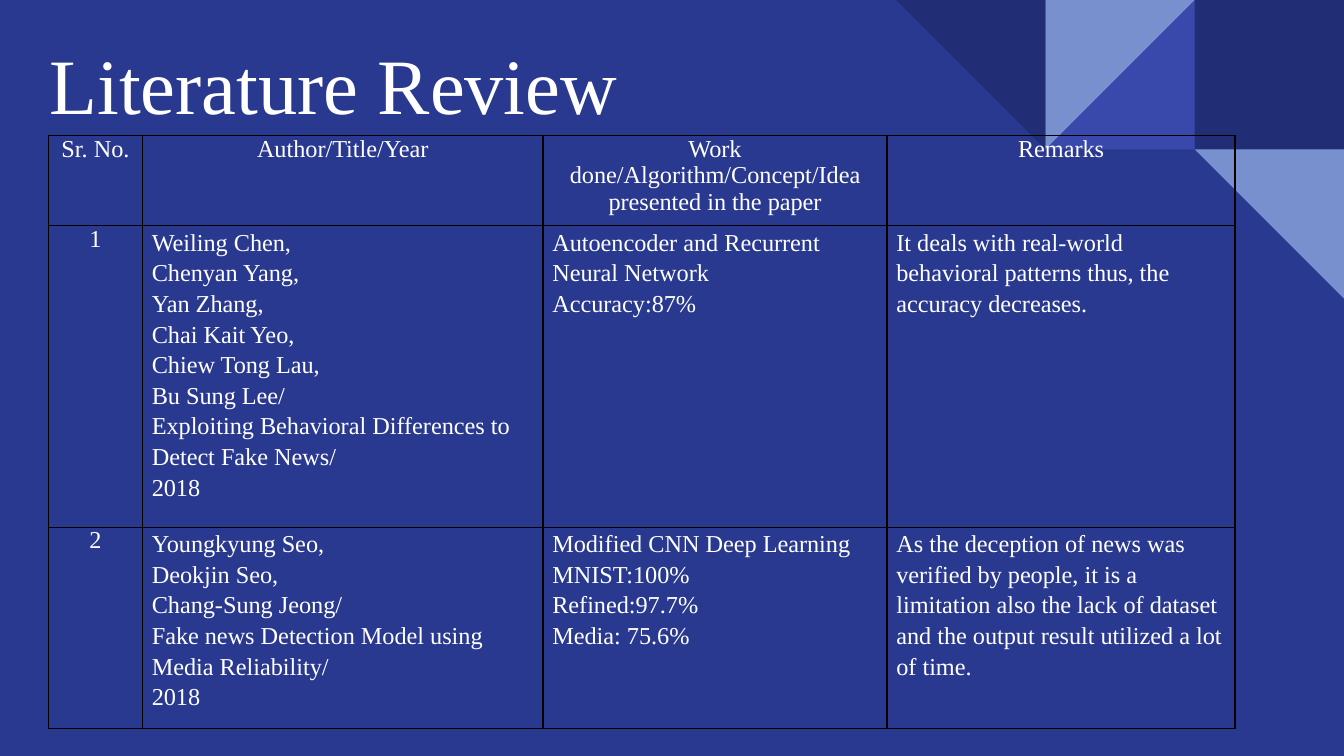
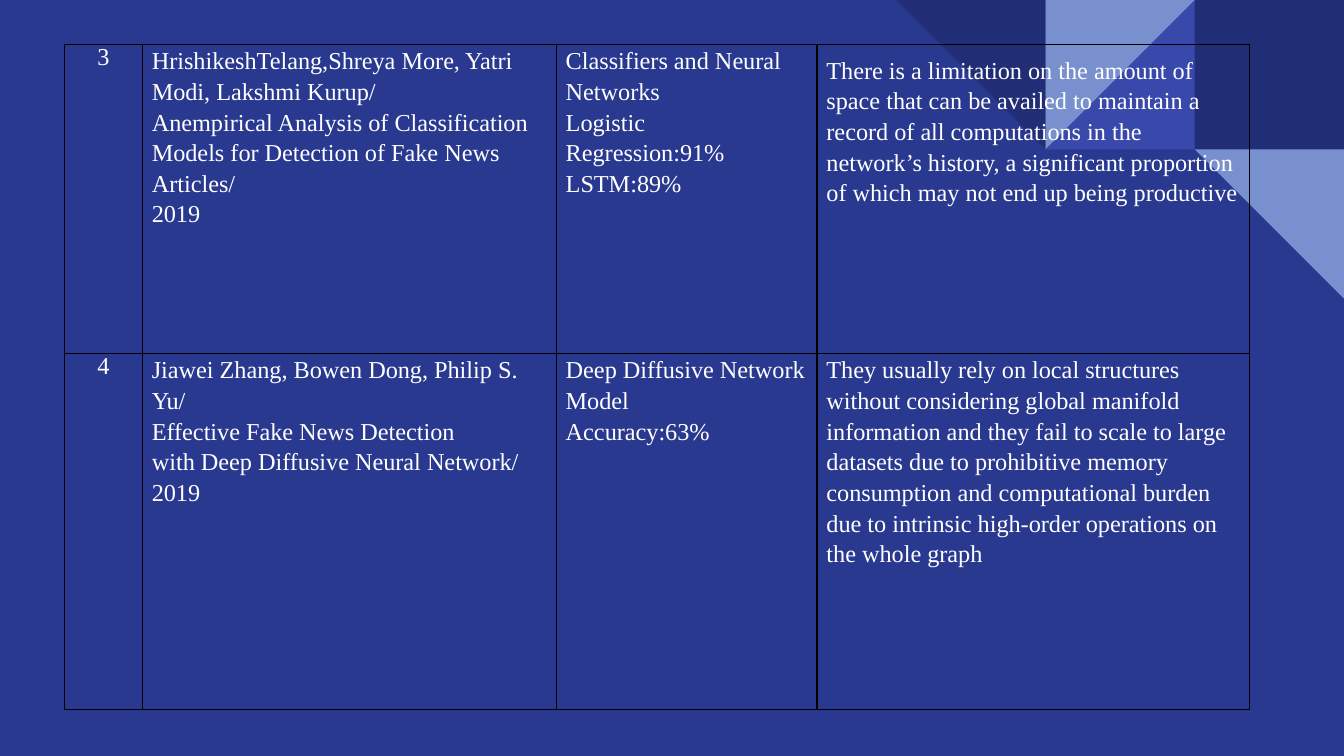
import pptx
import pptx.util
import pptx.dml.color
import pptx.enum.shapes
import pptx.enum.text
import pptx.oxml
import pptx.oxml.ns
from dataclasses import dataclass


@dataclass(frozen=True)
class Theme:
    background: str = "2A3990"
    navy: str = "212D74"
    indigo: str = "3949AB"
    sky: str = "7890CD"
    text: str = "FFFFFF"
    border: str = "000000"
    font: str = "Times New Roman"
    title_size: float = 42
    table_size: float = 13
    border_width: float = 0.75
    line_spacing: float = 1.15
    cell_inset: float = 0.07
    title_inset: float = 0.1


THEME = Theme()
SLIDE_WIDTH = 10
SLIDE_HEIGHT = SLIDE_WIDTH * 9 / 16
TILE = SLIDE_WIDTH / 9
TABLE_FRAME = 3.28
RECTANGLE = pptx.enum.shapes.MSO_SHAPE.RECTANGLE
TRIANGLE = pptx.enum.shapes.MSO_SHAPE.RIGHT_TRIANGLE

CORNER_TILES = [
    {"column": 8, "row": 0, "preset": RECTANGLE, "rotation": 0, "fill": THEME.navy},
    {"column": 7, "row": 0, "preset": TRIANGLE, "rotation": 270, "fill": THEME.indigo},
    {"column": 7, "row": 0, "preset": TRIANGLE, "rotation": 90, "fill": THEME.sky},
    {"column": 6, "row": 0, "preset": TRIANGLE, "rotation": 180, "fill": THEME.navy},
    {"column": 8, "row": 1, "preset": TRIANGLE, "rotation": 180, "fill": THEME.sky},
]

SLIDES = [
    {
        "title": "Literature Review",
        "origin": (0.36, 1.01),
        "columns": [0.7, 2.98, 2.56, 2.59],
        "heights": [0.67, 1.45, 0.87],
        "header": ["Sr. No.", "Author/Title/Year",
                   "Work done/Algorithm/Concept/Idea presented in the paper",
                   "Remarks"],
        "papers": [
            ["1",
             ["Weiling Chen,", "Chenyan Yang,", "Yan Zhang,", "Chai Kait Yeo,",
              "Chiew Tong Lau,", "Bu Sung Lee/",
              "Exploiting Behavioral Differences to Detect Fake News/", "2018"],
             ["Autoencoder and Recurrent Neural Network", "Accuracy:87%"],
             ["It deals with real-world behavioral patterns thus, "
              "the accuracy decreases."]],
            ["2",
             ["Youngkyung Seo,", "Deokjin Seo,", "Chang-Sung Jeong/",
              "Fake news Detection Model using Media Reliability/", "2018"],
             ["Modified CNN Deep Learning", "MNIST:100%", "Refined:97.7%",
              "Media: 75.6%"],
             ["As the deception of news was verified by people, it is a limitation "
              "also the lack of dataset and the output result utilized a lot of time."]],
        ],
        "padded_cells": [],
    },
    {
        "title": None,
        "origin": (0.48, 0.33),
        "columns": [0.58, 3.08, 1.94, 3.22],
        "heights": [2.3, 2.65],
        "header": None,
        "papers": [
            ["3",
             ["HrishikeshTelang,Shreya More, Yatri Modi, Lakshmi Kurup/",
              "Anempirical Analysis of Classification Models for Detection of "
              "Fake News Articles/", "2019"],
             ["Classifiers and Neural Networks", "Logistic Regression:91%",
              "LSTM:89%"],
             ["There is a limitation on the amount of space that can be availed to "
              "maintain a record of all computations in the network’s history, a "
              "significant proportion of which may not end up being productive"]],
            ["4",
             ["Jiawei Zhang, Bowen Dong, Philip S. Yu/",
              "Effective Fake News Detection",
              "with Deep Diffusive Neural Network/", "2019"],
             ["Deep Diffusive Network Model", "Accuracy:63%"],
             ["They usually rely on local structures without considering global "
              "manifold information and they fail to scale to large datasets due to "
              "prohibitive memory consumption and computational burden due to "
              "intrinsic high-order operations on the whole graph"]],
        ],
        "padded_cells": [(0, 3)],
    },
]


def inches(*lengths):
    return [pptx.util.Inches(length) for length in lengths]


def color(value):
    return pptx.dml.color.RGBColor.from_string(value)


def style_paragraph(paragraph, size):
    for run in paragraph.runs:
        run.font.name = THEME.font
        run.font.size = pptx.util.Pt(size)
        run.font.color.rgb = color(THEME.text)


def set_insets(holder, horizontal, vertical):
    holder.margin_left = holder.margin_right = pptx.util.Inches(horizontal)
    holder.margin_top = holder.margin_bottom = pptx.util.Inches(vertical)


def add_corner_tiles(slide):
    for tile in CORNER_TILES:
        shape = slide.shapes.add_shape(
            tile["preset"],
            *inches(tile["column"] * TILE, tile["row"] * TILE, TILE, TILE))
        shape.rotation = tile["rotation"]
        shape.shadow.inherit = False
        shape.fill.solid()
        shape.fill.fore_color.rgb = color(tile["fill"])
        shape.line.fill.background()


def add_title(slide, text):
    shape = slide.shapes.add_textbox(*inches(0.27, 0.16, 8.99, 0.92))
    text_frame = shape.text_frame
    text_frame.word_wrap = True
    text_frame.vertical_anchor = pptx.enum.text.MSO_ANCHOR.MIDDLE
    set_insets(text_frame, THEME.title_inset, THEME.title_inset)
    text_frame.text = text
    style_paragraph(text_frame.paragraphs[0], THEME.title_size)


def add_borders(cell):
    properties = cell._tc.get_or_add_tcPr()
    width = pptx.util.Pt(THEME.border_width)
    for side in ("lnL", "lnR", "lnT", "lnB"):
        properties.append(pptx.oxml.parse_xml(
            f'<a:{side} {pptx.oxml.ns.nsdecls("a")} w="{width}">'
            f'<a:solidFill><a:srgbClr val="{THEME.border}"/></a:solidFill>'
            f'</a:{side}>'))


def fill_cell(cell, lines, centered, padded):
    add_borders(cell)
    cell.fill.background()
    set_insets(cell, THEME.cell_inset, THEME.cell_inset if padded else 0)
    cell.text_frame.text = "\n".join(lines)
    for paragraph in cell.text_frame.paragraphs:
        if centered:
            paragraph.alignment = pptx.enum.text.PP_ALIGN.CENTER
        else:
            paragraph.line_spacing = THEME.line_spacing
        style_paragraph(paragraph, THEME.table_size)


def add_review_table(slide, content):
    rows = ([content["header"]] if content["header"] else []) + content["papers"]
    columns, heights = content["columns"], content["heights"]
    frame = slide.shapes.add_table(
        len(rows), len(columns),
        *inches(*content["origin"], TABLE_FRAME, TABLE_FRAME))
    table = frame.table
    table.first_row = table.horz_banding = False
    for column, width in zip(table.columns, columns):
        column.width = pptx.util.Inches(width)
    for row, height in zip(table.rows, heights):
        row.height = pptx.util.Inches(height)
    frame.width = frame.height = pptx.util.Inches(TABLE_FRAME)
    for row_index, row in enumerate(rows):
        for column_index, entry in enumerate(row):
            centered = isinstance(entry, str)
            fill_cell(table.cell(row_index, column_index),
                      [entry] if centered else entry, centered,
                      (row_index, column_index) in content["padded_cells"])


def main():
    presentation = pptx.Presentation()
    presentation.slide_width, presentation.slide_height = inches(
        SLIDE_WIDTH, SLIDE_HEIGHT)
    for content in SLIDES:
        slide = presentation.slides.add_slide(presentation.slide_layouts[6])
        slide.background.fill.solid()
        slide.background.fill.fore_color.rgb = color(THEME.background)
        add_corner_tiles(slide)
        if content["title"]:
            add_title(slide, content["title"])
        add_review_table(slide, content)
    presentation.save("out.pptx")


if __name__ == "__main__":
    main()
